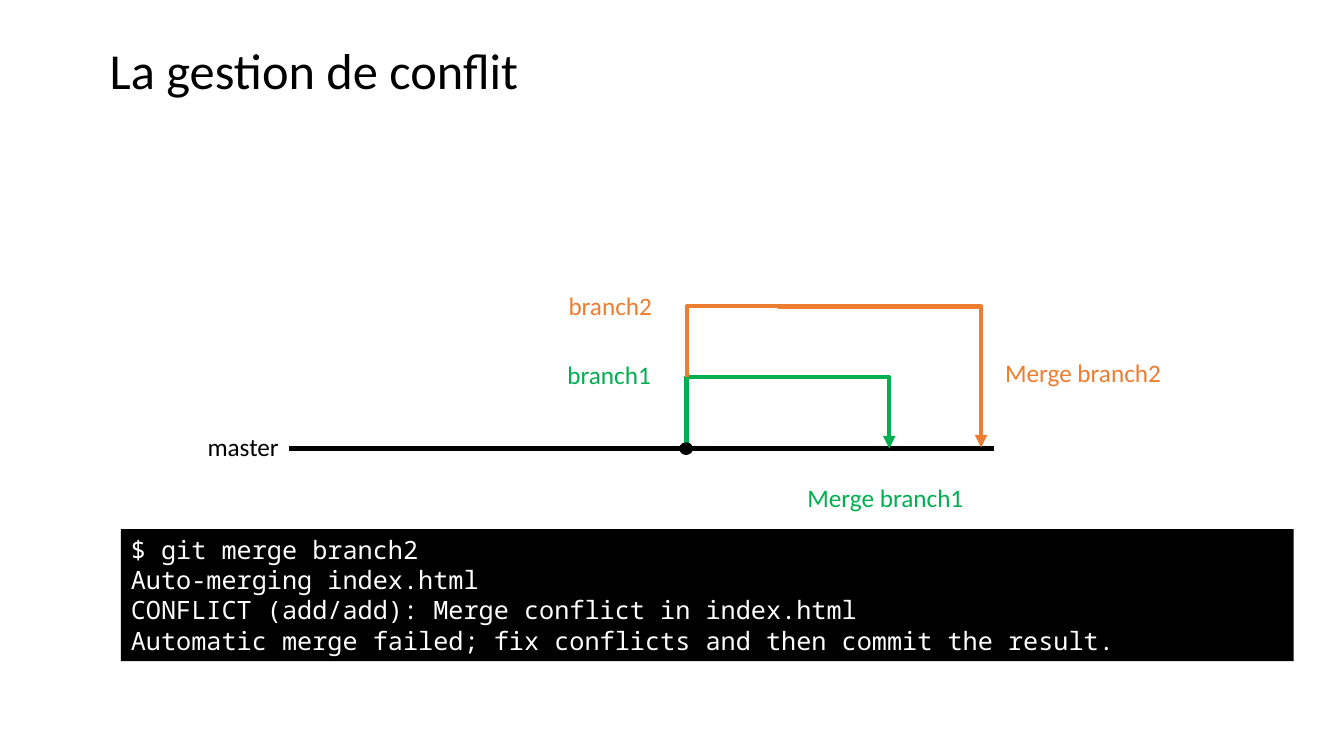
import pptx
import pptx.util
import pptx.dml.color
import pptx.enum.shapes
import pptx.enum.text
import pptx.oxml
import pptx.oxml.ns

PX = 9144
BLACK, WHITE, GREEN, ORANGE = "000000", "FFFFFF", "00B050", "ED7D31"


def px(n):
    return pptx.util.Emu(n * PX)


def color(value):
    return pptx.dml.color.RGBColor.from_string(value)


def write(tf, text, size=18, font="Calibri", fill=BLACK, spacing=1.0, wrap=True, anchor="TOP"):
    tf.word_wrap = wrap
    tf.vertical_anchor = pptx.enum.text.MSO_ANCHOR[anchor]
    for i, line in enumerate(text.split("\n")):
        p = tf.paragraphs[0] if i == 0 else tf.add_paragraph()
        p.alignment = pptx.enum.text.PP_ALIGN.LEFT
        p.line_spacing = spacing
        r = p.add_run()
        r.text = line
        r.font.size = pptx.util.Pt(size)
        r.font.name = font
        r.font.color.rgb = color(fill)


def add_xml(parent, tag, **attrs):
    child = pptx.oxml.parse_xml(f"<a:{tag} {pptx.oxml.ns.nsdecls('a')}/>")
    for key, value in attrs.items():
        child.set(key, value)
    parent.append(child)


class GitSlide:
    def __init__(self, prs):
        self.s = prs.slides.add_slide(prs.slide_layouts[6])
        self.line_width = pptx.util.Pt(3)

    def text(self, x, y, w, h, text, **fmt):
        sp = self.s.shapes.add_textbox(px(x), px(y), px(w), px(h))
        write(sp.text_frame, text, **fmt)

    def label(self, x, y, w, text, fill=BLACK):
        self.text(x, y, w, 40, text, fill=fill, wrap=False)

    def terminal(self, x, y, w, h, text):
        rect = pptx.enum.shapes.MSO_SHAPE.RECTANGLE
        sp = self.s.shapes.add_shape(rect, px(x), px(y), px(w), px(h))
        sp.shadow.inherit = False
        sp.fill.solid()
        sp.fill.fore_color.rgb = color(BLACK)
        sp.line.fill.background()
        write(sp.text_frame, text, font="Noto Sans Mono", fill=WHITE)

    def connector(self, x1, y1, x2, y2, fill=BLACK, bend=None, tail=None):
        kind = pptx.enum.shapes.MSO_CONNECTOR
        kind = kind.STRAIGHT if bend is None else kind.ELBOW
        c = self.s.shapes.add_connector(kind, px(x1), px(y1), px(x2), px(y2))
        c.line.color.rgb = color(fill)
        c.line.width = self.line_width
        props = c._element.spPr
        if bend is not None:
            guides = props.find(pptx.oxml.ns.qn("a:prstGeom")).get_or_add_avLst()
            add_xml(guides, "gd", name="adj1", fmla=f"val {bend}")
        if tail:
            add_xml(c.line._get_or_add_ln(), "tailEnd", type=tail)
        add_xml(props, "effectLst")

    def branch(self, x, y, x_end, y_end, fill):
        self.connector(x, y, x_end, y_end, fill, bend=0)

    def merge(self, x, y, x_end, y_end, fill):
        self.connector(x, y, x_end, y_end, fill, bend=100000, tail="triangle")


def main():
    prs = pptx.Presentation()
    prs.slide_width, prs.slide_height = px(1333), px(750)
    slide = GitSlide(prs)
    slide.text(99, 0, 1150, 145, "La gestion de conflit", size=36, spacing=0.9, anchor="MIDDLE")
    slide.connector(287, 445, 680, 445, tail="oval")
    slide.label(196, 423, 92, "master")
    slide.branch(681, 441, 775, 374, GREEN)
    slide.label(553, 352, 104, "branch1", GREEN)
    slide.branch(681, 374, 773, 304, ORANGE)
    slide.connector(986, 445, 681, 445, tail="oval")
    slide.label(554, 283, 105, "branch2", ORANGE)
    slide.merge(774, 374, 882, 445, GREEN)
    slide.merge(772, 304, 973, 444, ORANGE)
    slide.label(791, 474, 178, "Merge branch1", GREEN)
    slide.label(987, 350, 178, "Merge branch2", ORANGE)
    slide.terminal(120, 525, 1163, 131, """$ git merge branch2
Auto-merging index.html
CONFLICT (add/add): Merge conflict in index.html
Automatic merge failed; fix conflicts and then commit the result.""")
    prs.save("out.pptx")


if __name__ == "__main__":
    main()
